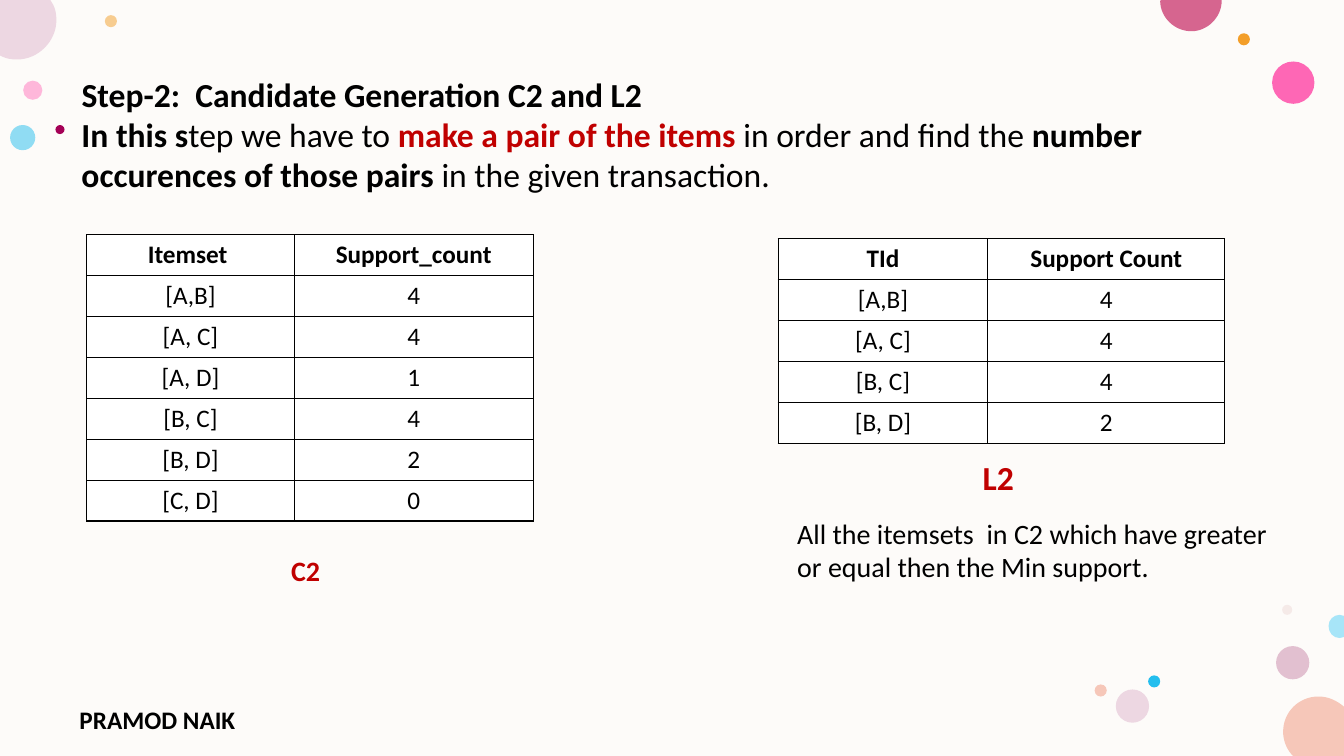
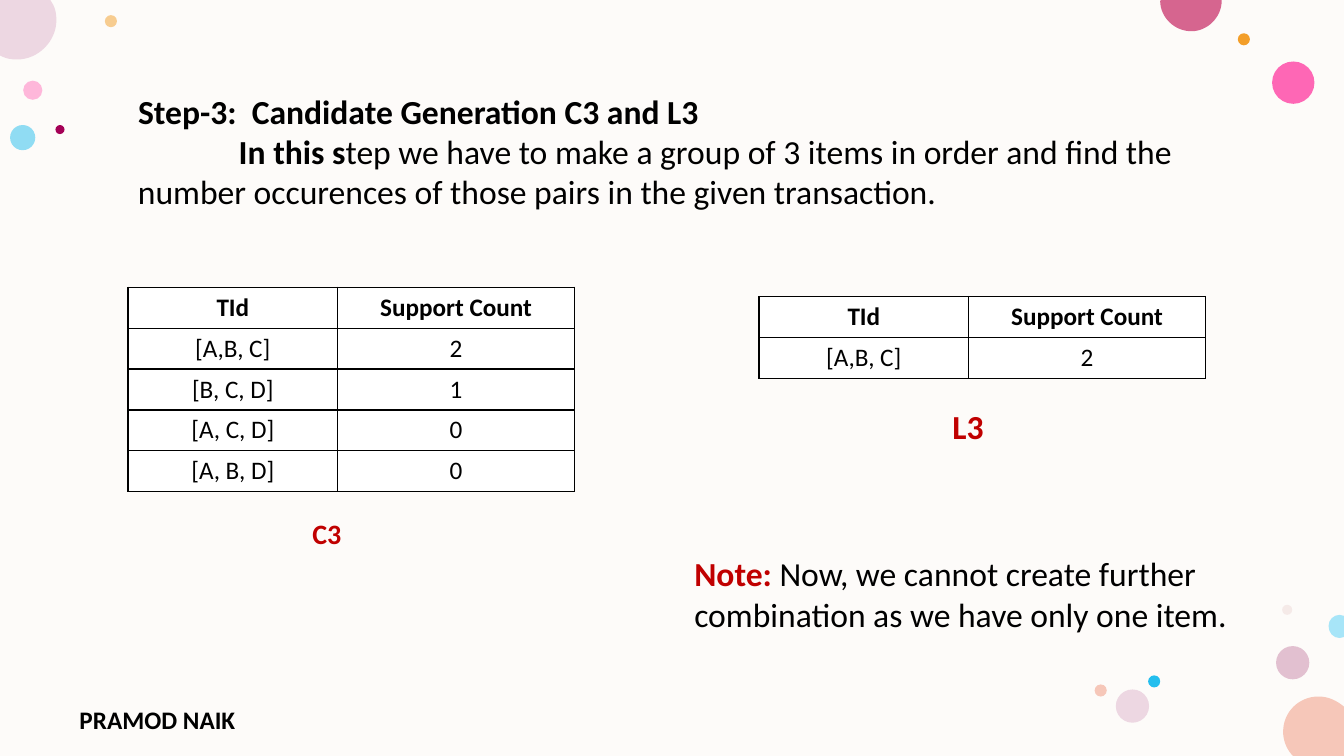
from lxml import etree
from pptx import Presentation
from pptx.dml.color import RGBColor
from pptx.enum.shapes import MSO_SHAPE
from pptx.enum.text import MSO_ANCHOR, PP_ALIGN
from pptx.oxml.ns import qn
from pptx.util import Inches, Pt

OVAL, RECTANGLE = MSO_SHAPE.OVAL, MSO_SHAPE.RECTANGLE
TOP = MSO_ANCHOR.TOP
LEFT, CENTER = PP_ALIGN.LEFT, PP_ALIGN.CENTER

FONT = "Calibri"
WIDTH, HEIGHT = 40 / 3, 7.5
TITLE_HEIGHT = 0.45
ROW_HEIGHT = Pt(29.2)
TITLE_ONLY = 5

COLORS = {
    "background": "FDFBF9", "white": "FFFFFF", "black": "000000", "red": "C00000",
    "pink": "FF75BD", "hot_pink": "FF2F9C", "rose": "D6658F", "plum": "A40056",
    "mauve": "C987A8", "lilac": "EDD7E2", "blush": "E3BEBE", "peach": "F6C7B9",
    "orange": "F39E29", "blue": "24BEEE", "pale_blue": "A7E5F8",
}

DOTS = [
    (0.23, 0.8, 0.19, "pink", 50),
    (1.04, 0.15, 0.12, "orange", 50),
    (12.66, 6.41, 0.33, "mauve", 50),
    (0.1, 1.24, 0.25, "blue", 50),
    (12.62, 0.61, 0.42, "hot_pink", 72),
    (12.28, 0.33, 0.12, "orange", 100),
    (12.72, 6, 0.1, "blush", 28),
    (11.39, 6.7, 0.12, "blue", 100),
    (11.07, 6.84, 0.33, "lilac", 100),
    (10.86, 6.79, 0.12, "peach", 100),
    (0.55, 1.24, 0.09, "plum", 100),
]

EDGE_CIRCLES = [
    ("peach", [
        [(13.08, 6.91)], [(13.18, 6.91), (13.26, 6.95), (WIDTH, 7.01)],
        [(WIDTH, HEIGHT)], [(12.83, HEIGHT)], [(12.81, 7.48)],
        [(12.76, 7.42), (12.73, 7.34), (12.73, 7.26)],
        [(12.73, 7.06), (12.89, 6.91), (13.08, 6.91)]]),
    ("lilac", [
        [(0, 0)], [(0.5, 0)], [(0.53, 0.05)],
        [(0.55, 0.09), (0.56, 0.14), (0.56, 0.2)],
        [(0.56, 0.41), (0.38, 0.59), (0.17, 0.59)],
        [(0.11, 0.59), (0.06, 0.58), (0.02, 0.56)], [(0, 0.55)]]),
    ("rose", [
        [(11.52, 0)], [(12.12, 0)], [(12.12, 0.01)],
        [(12.12, 0.17), (11.98, 0.31), (11.82, 0.31)],
        [(11.65, 0.31), (11.51, 0.17), (11.51, 0.01)]]),
    ("pale_blue", [
        [(13.29, 6.1)], [(WIDTH, 6.11)], [(WIDTH, 6.32)], [(13.29, 6.33)],
        [(13.23, 6.33), (13.18, 6.28), (13.18, 6.21)],
        [(13.18, 6.15), (13.23, 6.1), (13.29, 6.1)]]),
]

FOOTER = {"at": (0.69, 6.94, 2.45, 0.32), "size": 18,
          "runs": [("PRAMOD NAIK", "black", True)]}

SLIDES = [
    {
        "title": "Step-2:  Candidate Generation C2 and L2",
        "title_at": (0.71, 0.68, 11.92),
        "indent": 0,
        "body": [
            ("In this s", "black", True),
            ("tep we have to ", "black", False),
            ("make a pair of the items ", "red", True),
            ("in order and find the ", "black", False),
            ("number occurences of those pairs ", "black", True),
            ("in the given transaction.", "black", False),
        ],
        "tables": [
            {"at": (0.86, 2.33), "columns": (2.06, 2.37), "rows": [
                ("Itemset ", "Support_count"), ("[A,B]", "4"), ("[A, C]", "4"),
                ("[A, D]", "1"), ("[B, C]", "4"), ("[B, D]", "2"), ("[C, D]", "0")]},
            {"at": (7.72, 2.37), "columns": (2.08, 2.35), "rows": [
                ("TId", "Support Count"), ("[A,B]", "4"), ("[A, C]", "4"),
                ("[B, C]", "4"), ("[B, D]", "2")]},
        ],
        "texts": [
            {"at": (2.79, 5.44, 0.56, 0.44), "size": 20, "runs": [("C2", "red", True)]},
            {"at": (9.65, 4.48, 0.78, 0.5), "size": 24, "runs": [("L2", "red", True)]},
            {"at": (7.81, 5.07, 5.11, 0.77), "size": 20, "runs": [
                ("All the itemsets  in C2 which have greater or equal then the Min support.",
                 "black", False)]},
        ],
    },
    {
        "title": "Step-3:  Candidate Generation C3 and L3",
        "title_at": (1.27, 0.85, 11.22),
        "indent": 1,
        "body": [
            ("In this s", "black", True),
            ("tep we have to make a group of 3 items in order and find the number "
             "occurences of those pairs in the given transaction.", "black", False),
        ],
        "tables": [
            {"at": (1.27, 2.85), "columns": (2.08, 2.35), "rows": [
                ("TId", "Support Count"), ("[A,B, C]", "2"), ("[B, C, D]", "1"),
                ("[A, C, D]", "0"), ("[A, B, D]", "0")]},
            {"at": (7.53, 2.94), "columns": (2.08, 2.35), "rows": [
                ("TId", "Support Count"), ("[A,B, C]", "2")]},
        ],
        "texts": [
            {"at": (3, 5.08, 0.56, 0.44), "size": 20, "runs": [("C3", "red", True)]},
            {"at": (9.35, 3.98, 0.78, 0.5), "size": 24, "runs": [("L3", "red", True)]},
            {"at": (6.79, 5.44, 6.05, 0.91), "size": 24, "runs": [
                ("Note: ", "red", True),
                ("Now, we cannot create further combination as we have only one item.",
                 "black", False)]},
        ],
    },
]


def color(name):
    return RGBColor.from_string(COLORS[name])


def write_runs(paragraph, runs, size, align=LEFT):
    paragraph.alignment = align
    for text, color_name, bold in runs:
        run = paragraph.add_run()
        run.text = text
        run.font.name = FONT
        run.font.size = Pt(size)
        run.font.bold = bold
        run.font.color.rgb = color(color_name)


def add_text(slide, at, runs, size):
    box = slide.shapes.add_textbox(*map(Inches, at))
    box.text_frame.word_wrap = True
    write_runs(box.text_frame.paragraphs[0], runs, size)
    return box


def paint(shape, color_name, opacity=100):
    shape.shadow.inherit = False
    shape.line.fill.background()
    shape.fill.solid()
    shape.fill.fore_color.rgb = color(color_name)
    if opacity < 100:
        solid = shape.element.spPr.find(qn("a:solidFill"))
        etree.SubElement(solid[0], qn("a:alpha"), val=str(opacity * 1000))
    return shape


def add_preset(slide, preset, at, color_name, opacity=100):
    shape = slide.shapes.add_shape(preset, *map(Inches, at))
    return paint(shape, color_name, opacity)


def add_edge_circle(slide, color_name, segments):
    ends = [tuple(map(Inches, segment[-1])) for segment in segments]
    builder = slide.shapes.build_freeform(*ends[0])
    builder.add_line_segments(ends[1:], close=True)
    shape = builder.convert_to_shape()
    lines = list(shape.element.iter(qn("a:lnTo")))
    for line, segment in zip(lines, segments[1:]):
        if len(segment) == 3:
            curve = etree.Element(qn("a:cubicBezTo"))
            for x, y in segment:
                etree.SubElement(curve, qn("a:pt"), x=str(Inches(x) - shape.left),
                                 y=str(Inches(y) - shape.top))
            line.getparent().replace(line, curve)
    return paint(shape, color_name)


def decorate_layout(layout, slide):
    for placeholder in list(layout.placeholders)[1:]:
        layout.shapes.element.remove(placeholder.element)
    decorations = [add_preset(slide, RECTANGLE, (0, 0, WIDTH, HEIGHT), "background")]
    for x, y, size, color_name, opacity in DOTS:
        decorations.append(
            add_preset(slide, OVAL, (x, y, size, size), color_name, opacity))
    for color_name, segments in EDGE_CIRCLES:
        decorations.append(add_edge_circle(slide, color_name, segments))
    decorations.append(add_text(slide, **FOOTER))
    for shape in decorations:
        layout.shapes.element.append(shape.element)


def add_heading(slide, content):
    left, top, width = content["title_at"]
    title = slide.shapes.title
    title.left, title.top = Inches(left), Inches(top)
    title.width, title.height = Inches(width), Inches(TITLE_HEIGHT)
    title.text_frame.vertical_anchor = TOP
    title.text_frame.margin_bottom = 0
    write_runs(title.text_frame.paragraphs[0], [(content["title"], "black", True)], 24)
    body = add_text(slide, (left, top + TITLE_HEIGHT, width, 0.86), content["body"], 24)
    body.text_frame.margin_top = 0
    properties = body.text_frame.paragraphs[0]._p.get_or_add_pPr()
    properties.set("indent", str(Inches(content["indent"])))


def format_cell(cell, text, bold):
    properties = cell._tc.get_or_add_tcPr()
    for side in ("lnL", "lnR", "lnT", "lnB"):
        border = etree.SubElement(properties, qn(f"a:{side}"), w=str(Pt(1)))
        solid = etree.SubElement(border, qn("a:solidFill"))
        etree.SubElement(solid, qn("a:srgbClr"), val=COLORS["black"])
    cell.fill.solid()
    cell.fill.fore_color.rgb = color("white")
    write_runs(cell.text_frame.paragraphs[0], [(text, "black", bold)], 18, CENTER)


def add_support_table(slide, at, columns, rows):
    left, top = map(Inches, at)
    frame = slide.shapes.add_table(len(rows), len(columns), left, top,
                                   Inches(sum(columns)), ROW_HEIGHT * len(rows))
    table = frame.table
    table.first_row = table.horz_banding = False
    for column, width in zip(table.columns, columns):
        column.width = Inches(width)
    for row_index, values in enumerate(rows):
        table.rows[row_index].height = ROW_HEIGHT
        for column_index, text in enumerate(values):
            format_cell(table.cell(row_index, column_index), text, row_index == 0)


def main():
    presentation = Presentation()
    presentation.slide_width = Inches(WIDTH)
    presentation.slide_height = Inches(HEIGHT)
    layout = presentation.slide_layouts[TITLE_ONLY]
    slides = [presentation.slides.add_slide(layout) for _ in SLIDES]
    decorate_layout(layout, slides[0])
    for slide, content in zip(slides, SLIDES):
        add_heading(slide, content)
        for table in content["tables"]:
            add_support_table(slide, **table)
        for text in content["texts"]:
            add_text(slide, **text)
    presentation.save("out.pptx")


if __name__ == "__main__":
    main()
